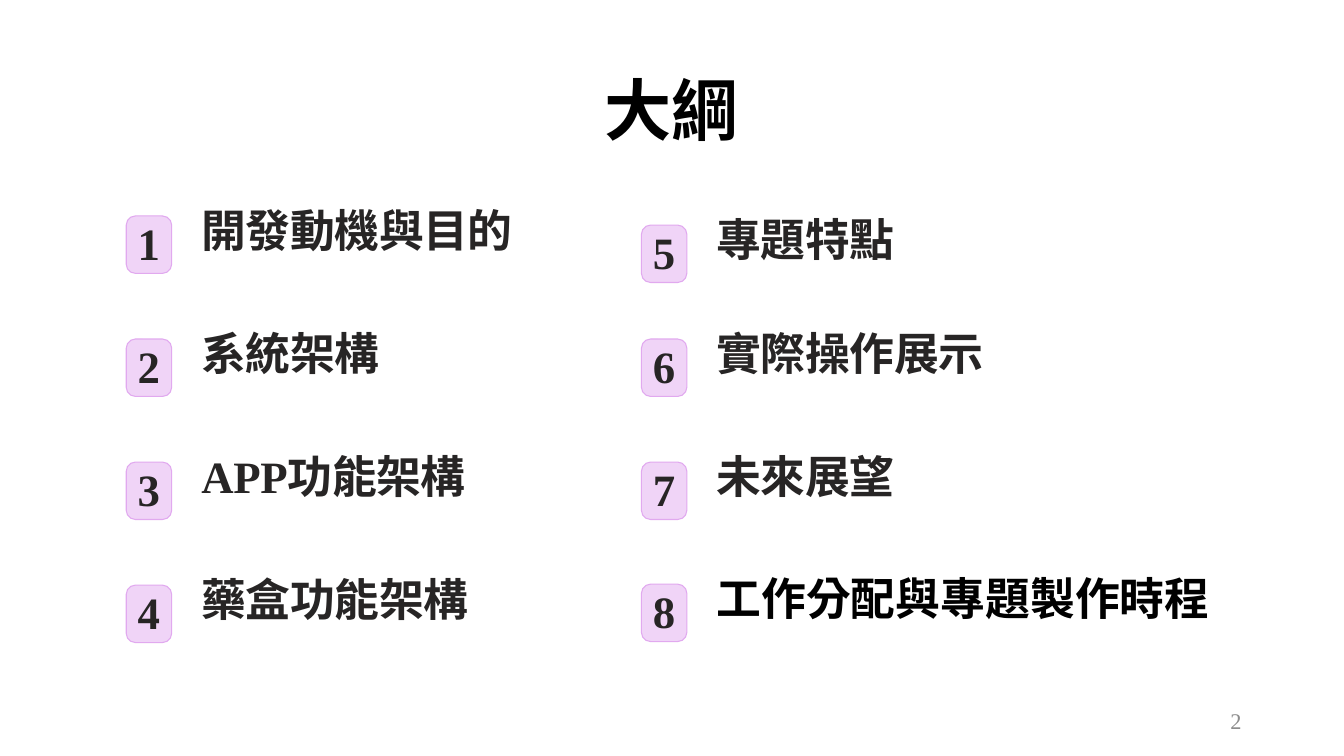
from dataclasses import dataclass

from pptx import Presentation
from pptx.dml.color import RGBColor as RGB
from pptx.enum.lang import MSO_LANGUAGE_ID as Lang
from pptx.enum.shapes import MSO_SHAPE as Shape
from pptx.enum.text import MSO_ANCHOR as Anchor, PP_ALIGN as Align
from pptx.util import Pt


@dataclass(frozen=True)
class Theme:
    font: str = "Times New Roman"
    black: str = "000000"
    ink: str = "272525"
    grey: str = "8C8C8C"
    fill: str = "F0D4F7"
    edge: str = "E1A9EF"
    head: int = 48
    body: int = 32
    foot: int = 16


theme = Theme()
deck = Presentation()
deck.slide_width, deck.slide_height = Pt(960), Pt(540)
slide = deck.slides.add_slide(deck.slide_layouts[6])
shapes = slide.shapes


def write(text, left, top, width, height, size=theme.body, color=theme.ink,
          bold=True, align=Align.LEFT, anchor=Anchor.TOP, lead=None, track=0):
    box = shapes.add_textbox(Pt(left), Pt(top), Pt(width), Pt(height))
    frame = box.text_frame
    frame.word_wrap = True
    frame.vertical_anchor = anchor
    para = frame.paragraphs[0]
    para.alignment = align
    if lead:
        para.line_spacing = lead
    run = para.add_run()
    run.text = text
    font = run.font
    font.name, font.size, font.bold = theme.font, Pt(size), bold
    font.color.rgb = RGB.from_string(color)
    font.language_id = Lang.TRADITIONAL_CHINESE
    if track:
        run._r.get_or_add_rPr().set("spc", str(track))


# Title
write("大綱", 66, 28.8, 828, 104.4, size=theme.head, color=theme.black,
      align=Align.CENTER, anchor=Anchor.MIDDLE, lead=0.9)

# Two columns of numbered topics
topics = ["開發動機與目的", "系統架構", "APP功能架構", "藥盒功能架構",
          "專題特點", "實際操作展示", "未來展望", "工作分配與專題製作時程"]
rows = 4
widths = [280, 380]
nudge = {4: 6.5, 7: -0.7}  # rows set slightly off the grid

for i, topic in enumerate(topics):
    col, row = divmod(i, rows)
    left = 90.2 + 368 * col
    top = 154.3 + 87.9 * row + nudge.get(i, 0)
    last = i == len(topics) - 1

    badge = shapes.add_shape(Shape.ROUNDED_RECTANGLE,
                             Pt(left), Pt(top), Pt(32.4), Pt(41))
    badge.adjustments[0] = 0.2
    badge.shadow.inherit = False
    badge.fill.solid()
    badge.fill.fore_color.rgb = RGB.from_string(theme.fill)
    badge.line.color.rgb = RGB.from_string(theme.edge)
    badge.line.width = Pt(0.77)

    write(str(i + 1), left, top + 11.2, 32.4, 34.6,
          align=Align.CENTER, lead=Pt(23.2), track=-40)
    write(topic, left + 46.6, top + 6.2, widths[col], 28.8,
          color=theme.black if last else theme.ink,
          lead=Pt(19.3), track=0 if last else -30)

# Page number
write("2", 678, 500.4, 216, 28.8, size=theme.foot, color=theme.grey,
      bold=False, align=Align.RIGHT, anchor=Anchor.MIDDLE)

deck.save("out.pptx")
